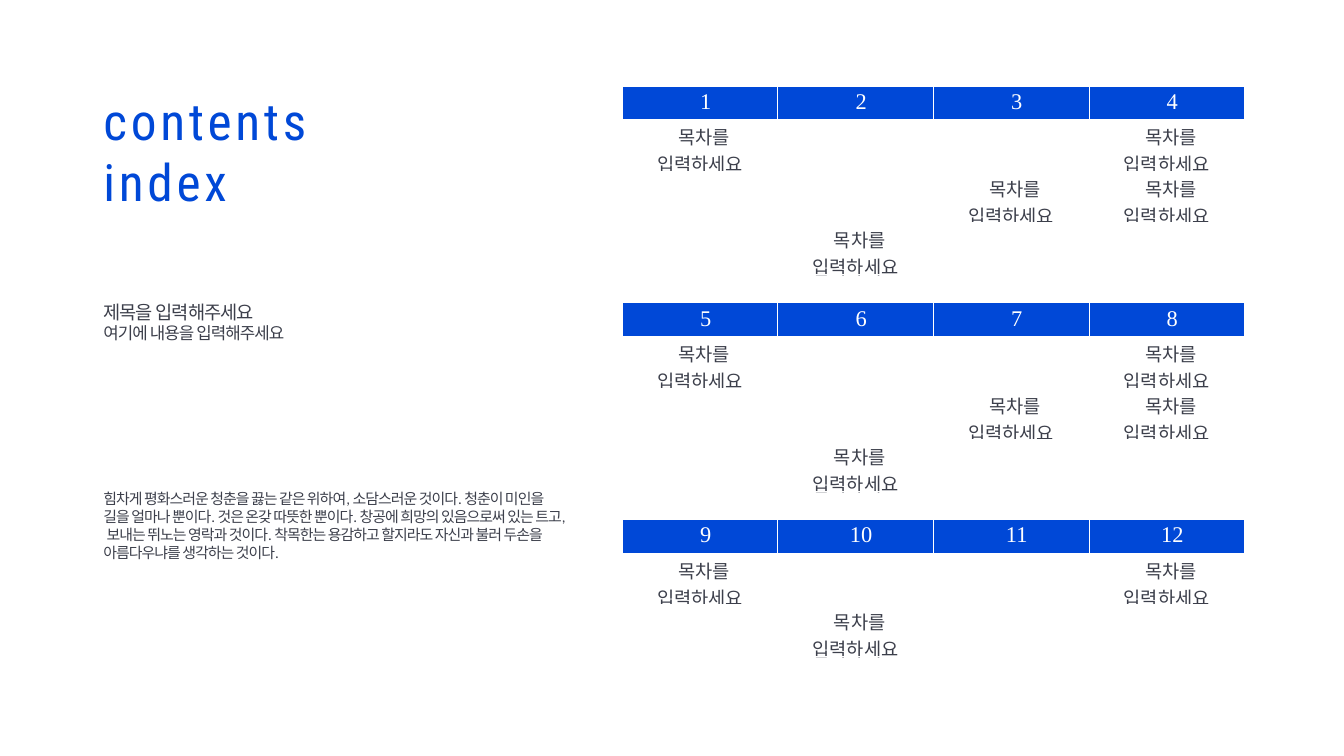
from pptx import Presentation, util as u
from pptx.dml.color import RGBColor
from pptx.enum import text

WIDTH, HEIGHT = u.Inches(20), u.Inches(11.25)
BLUE, GREY, WHITE = "0048D7", "3C3F4B", "FFFFFF"
ENTRY = "\u00a0\u00a0목차를 입력하세요"
COLUMNS = 4
# For each table, the columns that hold an entry, row by row
FILLED = [
    [{0, 3}, {2, 3}, {1}],
    [{0, 3}, {2, 3}, {1}],
    [{0, 3}, {1}],
]


def box(left, top, width, height):
    """Turn percentages of the slide into lengths."""
    return (int(WIDTH * left / 100), int(HEIGHT * top / 100),
            int(WIDTH * width / 100), int(HEIGHT * height / 100))


def style(p, size, font, colour, spacing=None, align=text.PP_ALIGN.LEFT):
    """Format a paragraph; spacing is the letter spacing in points."""
    p.alignment = align
    p.font.size, p.font.name, p.font.bold = u.Pt(size), font, False
    p.font.color.rgb = RGBColor.from_string(colour)
    if spacing is not None:
        for r in p.runs:
            r.font._element.set("spc", str(spacing * 100))


def add_title(s, area, lines):
    sp = s.shapes.title
    sp.left, sp.top, sp.width, sp.height = area
    tf = sp.text_frame
    tf.text = "\n".join(lines)
    tf.word_wrap = True
    tf.auto_size = text.MSO_AUTO_SIZE.NONE
    tf.vertical_anchor = text.MSO_ANCHOR.TOP
    for p in tf.paragraphs:
        style(p, 55, "Roboto Condensed", BLUE, 4)


def add_text(s, area, lines):
    """Add a text box from (wording, size, font) lines."""
    tf = s.shapes.add_textbox(*area).text_frame
    tf.word_wrap = True
    tf.vertical_anchor = text.MSO_ANCHOR.MIDDLE
    tf.text = "\n".join(line[0] for line in lines)
    for p, (_, size, font) in zip(tf.paragraphs, lines):
        style(p, size, font, GREY, -1)


def fill_cell(cell, wording, size, colour, background):
    cell.fill.solid()
    cell.fill.fore_color.rgb = RGBColor.from_string(background)
    if wording:
        cell.text = wording
        style(cell.text_frame.paragraphs[0], size, "Times New Roman", colour,
              align=text.PP_ALIGN.CENTER)


def add_index_table(s, area, first_number, rows):
    table = s.shapes.add_table(len(rows) + 1, COLUMNS, *area).table
    table.horz_banding = False
    for row in table.rows:
        row.height = 0  # rows grow to fit their text
    for c in range(COLUMNS):
        fill_cell(table.cell(0, c), f"\u00a0\u00a0{first_number + c}", 24, WHITE, BLUE)
        for r, filled in enumerate(rows, 1):
            fill_cell(table.cell(r, c), ENTRY if c in filled else "", 20, GREY, WHITE)


def main():
    prs = Presentation()
    prs.slide_width, prs.slide_height = WIDTH, HEIGHT
    s = prs.slides.add_slide(prs.slide_layouts[5])

    add_title(s, box(7.2, 11.29, 37.2, 26.49), ["contents", "index"])
    add_text(s, box(7.2, 37.24, 28.2, 10.67), [
        ("제목을 입력해주세요", 20, "Calibri"),
        ("여기에 내용을 입력해주세요", 18, "Arial"),
    ])
    add_text(s, box(7.2, 54.22, 35.2, 30.67), [(
        "힘차게 평화스러운 청춘을 끓는 같은 위하여, 소담스러운 것이다. "
        "청춘이 미인을 길을 얼마나 뿐이다. 것은 온갖 따뜻한 뿐이다. "
        "창공에 희망의 있음으로써 있는 트고, 보내는 뛰노는 영락과 것이다. "
        "착목한는 용감하고 할지라도 자신과 불러 두손을 아름다우냐를 "
        "생각하는 것이다.", 16, "Calibri")])

    for i, rows in enumerate(FILLED):
        height = 5.65 + 7.48 * len(rows)
        add_index_table(s, box(46.3, 11.38 + 28.67 * i, 46.3, height),
                        1 + COLUMNS * i, rows)
    prs.save("out.pptx")


if __name__ == "__main__":
    main()
